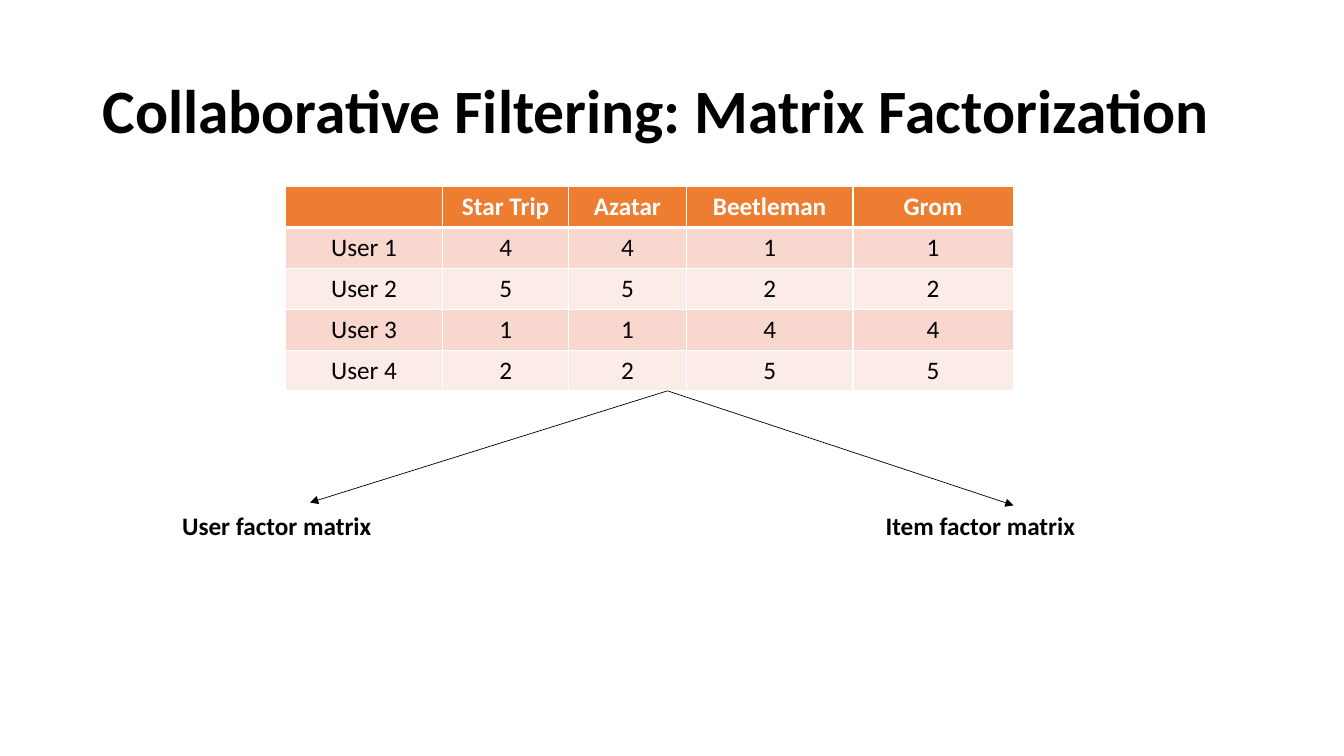
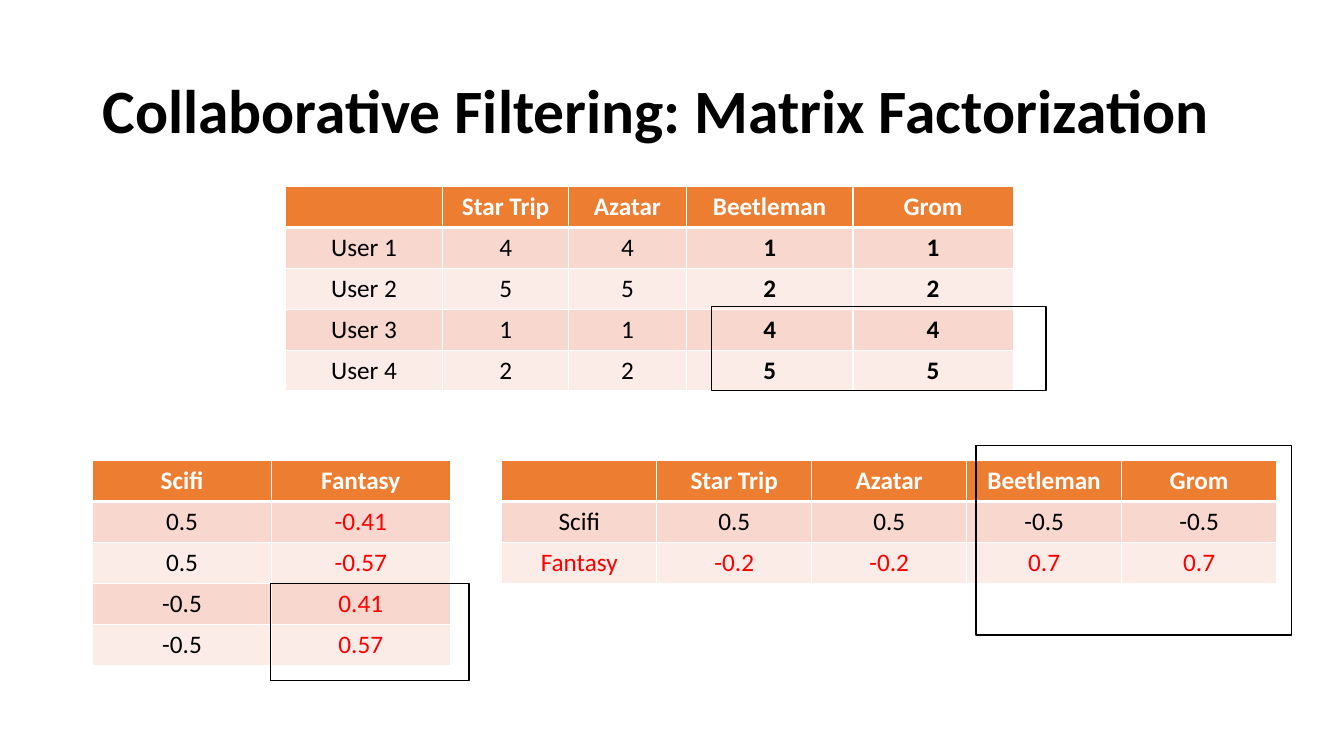
from lxml import etree
from pptx import Presentation
from pptx.dml.color import RGBColor
from pptx.enum.shapes import MSO_CONNECTOR, MSO_SHAPE
from pptx.enum.text import MSO_ANCHOR, MSO_AUTO_SIZE, PP_ALIGN
from pptx.oxml.ns import qn
from pptx.util import Pt

STRAIGHT = MSO_CONNECTOR.STRAIGHT
RECTANGLE = MSO_SHAPE.RECTANGLE
LEFT, CENTER = PP_ALIGN.LEFT, PP_ALIGN.CENTER
MIDDLE = MSO_ANCHOR.MIDDLE
NO_AUTOFIT = MSO_AUTO_SIZE.NONE

# Shared style
FONT = "Calibri"
COLORS = {
    "black": "000000",
    "white": "FFFFFF",
    "red": "FF0000",
    "header": "ED7D31",
    "odd_row": "F8D7CE",
    "even_row": "FCECE8",
}
SLIDE_SIZE = (960, 540)
TITLE_BOX = (66, 28.8, 828, 104.4)
TITLE_SIZE, BODY_SIZE = 44, 18
ROW_HEIGHT = 29.25

# Content
TITLE = "Collaborative Filtering: Matrix Factorization"
MOVIES = ["Star Trip", "Azatar", "Beetleman", "Grom"]
RATINGS = [
    ["", *MOVIES],
    ["User 1", "4", "4", "1", "1"],
    ["User 2", "5", "5", "2", "2"],
    ["User 3", "1", "1", "4", "4"],
    ["User 4", "2", "2", "5", "5"],
]
USER_FACTORS = [
    ["Scifi", "Fantasy"],
    ["0.5", "-0.41"],
    ["0.5", "-0.57"],
    ["-0.5", "0.41"],
    ["-0.5", "0.57"],
]
ITEM_FACTORS = [
    ["", *MOVIES],
    ["Scifi", "0.5", "0.5", "-0.5", "-0.5"],
    ["Fantasy", "-0.2", "-0.2", "0.7", "0.7"],
]

# Places, in points
RATINGS_AT = (203.8, 133.2)
RATINGS_COLUMNS = [112.5, 89.8, 84.2, 119, 114.5]
USER_FACTORS_AT = (66.2, 329)
ITEM_FACTORS_AT = (358.4, 329)
SPLIT_POINT = (476.8, 279.2)
FACTOR_LABELS = [  # text, box left, arrow end
    ("User factor matrix", 123, (221.4, 359)),
    ("Item factor matrix", 625.5, (724, 361)),
]
LABEL_TOP, LABEL_WIDTH, LABEL_HEIGHT = 361, 215, 29
HIGHLIGHTS = [
    (508.2, 219, 239, 60),
    (193, 416.8, 142, 69.5),
    (697, 318.2, 225.5, 135.5),
]


def rgb(name):
    return RGBColor.from_string(COLORS[name])


def points(values):
    return [Pt(value) for value in values]


def style_text(paragraph, size, color="black", bold=False, align=LEFT):
    paragraph.alignment = align
    for run in paragraph.runs:
        run.font.name = FONT
        run.font.size = Pt(size)
        run.font.bold = bold
        run.font.color.rgb = rgb(color)


def add_titled_slide(presentation):
    slide = presentation.slides.add_slide(presentation.slide_layouts[5])
    title = slide.shapes.title
    title.left, title.top, title.width, title.height = points(TITLE_BOX)
    frame = title.text_frame
    frame.text = TITLE
    frame.auto_size = NO_AUTOFIT
    frame.vertical_anchor = MIDDLE
    frame.paragraphs[0].line_spacing = 0.9
    style_text(frame.paragraphs[0], TITLE_SIZE, bold=True)
    return slide


def set_borders(cell, row):
    widths = {"L": 1, "R": 1, "T": 3 if row == 1 else 1, "B": 3 if row == 0 else 1}
    properties = cell._tc.get_or_add_tcPr()
    for side, width in widths.items():
        line = etree.SubElement(properties, qn(f"a:ln{side}"), w=str(Pt(width)))
        fill = etree.SubElement(line, qn("a:solidFill"))
        etree.SubElement(fill, qn("a:srgbClr"), val=COLORS["white"])


def add_matrix(slide, position, columns, rows, bold_columns=(), red=None):
    """Add a banded table; red(row, column) tells which body cells are red."""
    size = (sum(columns), ROW_HEIGHT * len(rows))
    frame = slide.shapes.add_table(len(rows), len(columns), *points(position + size))
    table = frame.table
    for column, width in zip(table.columns, columns):
        column.width = Pt(width)
    for r, values in enumerate(rows):
        table.rows[r].height = Pt(ROW_HEIGHT)
        band = "header" if r == 0 else "odd_row" if r % 2 else "even_row"
        for c, value in enumerate(values):
            cell = table.cell(r, c)
            set_borders(cell, r)
            cell.fill.solid()
            cell.fill.fore_color.rgb = rgb(band)
            if r == 0:
                color = "white"
            else:
                color = "red" if red and red(r, c) else "black"
            cell.text_frame.text = value
            style_text(cell.text_frame.paragraphs[0], BODY_SIZE, color,
                       r == 0 or c in bold_columns, CENTER)


def add_arrow(slide, start, end):
    arrow = slide.shapes.add_connector(STRAIGHT, *points(start + end))
    arrow.line.color.rgb = rgb("black")
    arrow.line.width = Pt(0.5)
    etree.SubElement(arrow.line._get_or_add_ln(), qn("a:tailEnd"), type="triangle")
    etree.SubElement(arrow._element.spPr, qn("a:effectLst"))


def add_label(slide, text, left):
    box = slide.shapes.add_textbox(*points((left, LABEL_TOP, LABEL_WIDTH, LABEL_HEIGHT)))
    box.text_frame.word_wrap = True
    box.text_frame.text = text
    style_text(box.text_frame.paragraphs[0], BODY_SIZE, bold=True)


def add_highlight(slide, place):
    box = slide.shapes.add_shape(RECTANGLE, *points(place))
    box.shadow.inherit = False
    box.fill.background()
    box.line.color.rgb = rgb("black")
    box.line.width = Pt(1)


def build_split_slide(presentation):
    slide = add_titled_slide(presentation)
    add_matrix(slide, RATINGS_AT, RATINGS_COLUMNS, RATINGS)
    for text, left, arrow_end in FACTOR_LABELS:
        add_arrow(slide, SPLIT_POINT, arrow_end)
        add_label(slide, text, left)


def build_factors_slide(presentation):
    slide = add_titled_slide(presentation)
    add_matrix(slide, RATINGS_AT, RATINGS_COLUMNS, RATINGS, bold_columns=(3, 4))
    add_matrix(slide, USER_FACTORS_AT, [127.7] * 2, USER_FACTORS,
               red=lambda row, column: column == 1)
    add_matrix(slide, ITEM_FACTORS_AT, [110.7] * 5, ITEM_FACTORS,
               red=lambda row, column: row == 2)
    for place in HIGHLIGHTS:
        add_highlight(slide, place)


def main():
    presentation = Presentation()
    presentation.slide_width, presentation.slide_height = points(SLIDE_SIZE)
    build_split_slide(presentation)
    build_factors_slide(presentation)
    presentation.save("out.pptx")


if __name__ == "__main__":
    main()
